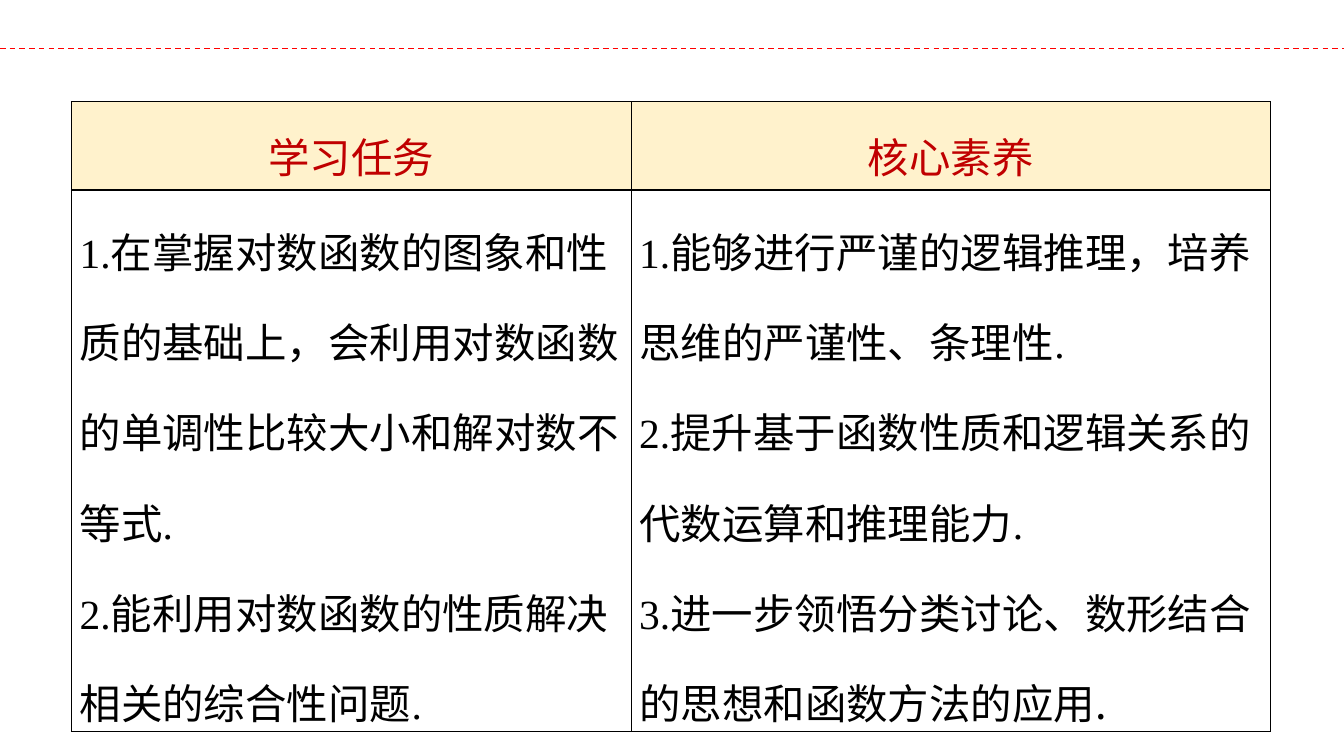
"""Builds the slide that pairs learning tasks with core competencies."""
from dataclasses import dataclass

from lxml import etree
from pptx import Presentation
from pptx import util as u
from pptx.dml.color import RGBColor
from pptx.enum import dml, shapes, text
from pptx.oxml.ns import qn


@dataclass(frozen=True)
class Theme:
    rule: str = "FF0000"
    heading: str = "C00000"
    heading_fill: str = "FFF2CC"
    ink: str = "000000"
    latin: str = "Times New Roman"
    asian: str = "Noto Sans CJK SC"
    size: float = 29.6
    line: float = 1


class SlideBuilder:
    def __init__(self, page, theme):
        self.page = page
        self.theme = theme

    def dashed_rule(self, top, width):
        rule = self.page.shapes.add_connector(
            shapes.MSO_CONNECTOR.STRAIGHT, 0, u.Inches(top), u.Inches(width), u.Inches(top))
        rule.line.color.rgb = RGBColor.from_string(self.theme.rule)
        rule.line.width = u.Pt(self.theme.line)
        rule.line.dash_style = dml.MSO_LINE.DASH
        etree.SubElement(rule._element.spPr, qn("a:effectLst"))

    def table(self, left, top, widths, heights):
        frame = self.page.shapes.add_table(
            len(heights), len(widths), u.Inches(left), u.Inches(top),
            u.Inches(sum(widths)), u.Inches(sum(heights)))
        grid = frame.table
        grid.first_row = grid.horz_banding = False
        for column, width in zip(grid.columns, widths):
            column.width = u.Inches(width)
        for row, height in zip(grid.rows, heights):
            row.height = u.Inches(height)
        return grid

    def borders(self, cell):
        properties = cell._tc.get_or_add_tcPr()
        for side in ("lnL", "lnR", "lnT", "lnB"):
            border = etree.SubElement(
                properties, qn(f"a:{side}"), w=str(u.Pt(self.theme.line)))
            fill = etree.SubElement(border, qn("a:solidFill"))
            etree.SubElement(fill, qn("a:srgbClr"), val=self.theme.ink)

    def span(self, para, words, color, latin):
        span = para.add_run()
        span.text = words
        span.font.size = u.Pt(self.theme.size)
        span.font.name = latin
        span.font.color.rgb = RGBColor.from_string(color)
        etree.SubElement(span.font._element, qn("a:ea"), typeface=self.theme.asian)

    def cell(self, cell, paragraphs, color, spacing, align, margins, fill=None):
        self.borders(cell)
        if fill:
            cell.fill.solid()
            cell.fill.fore_color.rgb = RGBColor.from_string(fill)
        else:
            cell.fill.background()
        side, edge = (u.Inches(margin) for margin in margins)
        cell.margin_left = cell.margin_right = side
        cell.margin_top = cell.margin_bottom = edge
        cell.vertical_anchor = text.MSO_ANCHOR.MIDDLE
        for index, spans in enumerate(paragraphs):
            frame = cell.text_frame
            para = frame.add_paragraph() if index else frame.paragraphs[0]
            para.alignment = align
            para.line_spacing = spacing
            for words, latin in spans:
                self.span(para, words, color, latin)

    def heading_cell(self, cell, words):
        self.cell(cell, [[(words, self.theme.latin)]], self.theme.heading, 1.3,
                  text.PP_ALIGN.CENTER, (0.11, 0.05), self.theme.heading_fill)

    def body_cell(self, cell, paragraphs):
        self.cell(cell, paragraphs, self.theme.ink, 1.5,
                  text.PP_ALIGN.LEFT, (0.08, 0))


def main():
    theme = Theme()
    deck = Presentation()
    deck.slide_width, deck.slide_height = u.Inches(13.33), u.Inches(7.5)
    builder = SlideBuilder(deck.slides.add_slide(deck.slide_layouts[6]), theme)
    builder.dashed_rule(0.48, 13.33)

    columns = {
        "学习任务": [
            [("1.在掌握对数函数的图象和性质的基础上，会利用对数函数的单调性比较大小和解对数不等式.", theme.latin)],
            [("2.能利用对数函数的性质解决相关的综合性问题.", theme.latin)],
        ],
        "核心素养": [
            [("1.能够进行严谨的逻辑推理，培养思维的严谨性、条理性.", theme.latin)],
            [("2.提升基于函数性质和逻辑关系的代数运算和推理能力.", theme.latin)],
            [("3.", theme.latin),
             ("进一步领悟分类讨论、数形结合的思想和函数方法的应用.", theme.asian)],
        ],
    }
    grid = builder.table(0.71, 1.01, (5.55, 6.34), (0.86, 4.25))
    for index, (heading, paragraphs) in enumerate(columns.items()):
        builder.heading_cell(grid.cell(0, index), heading)
        builder.body_cell(grid.cell(1, index), paragraphs)

    deck.save("out.pptx")


if __name__ == "__main__":
    main()
